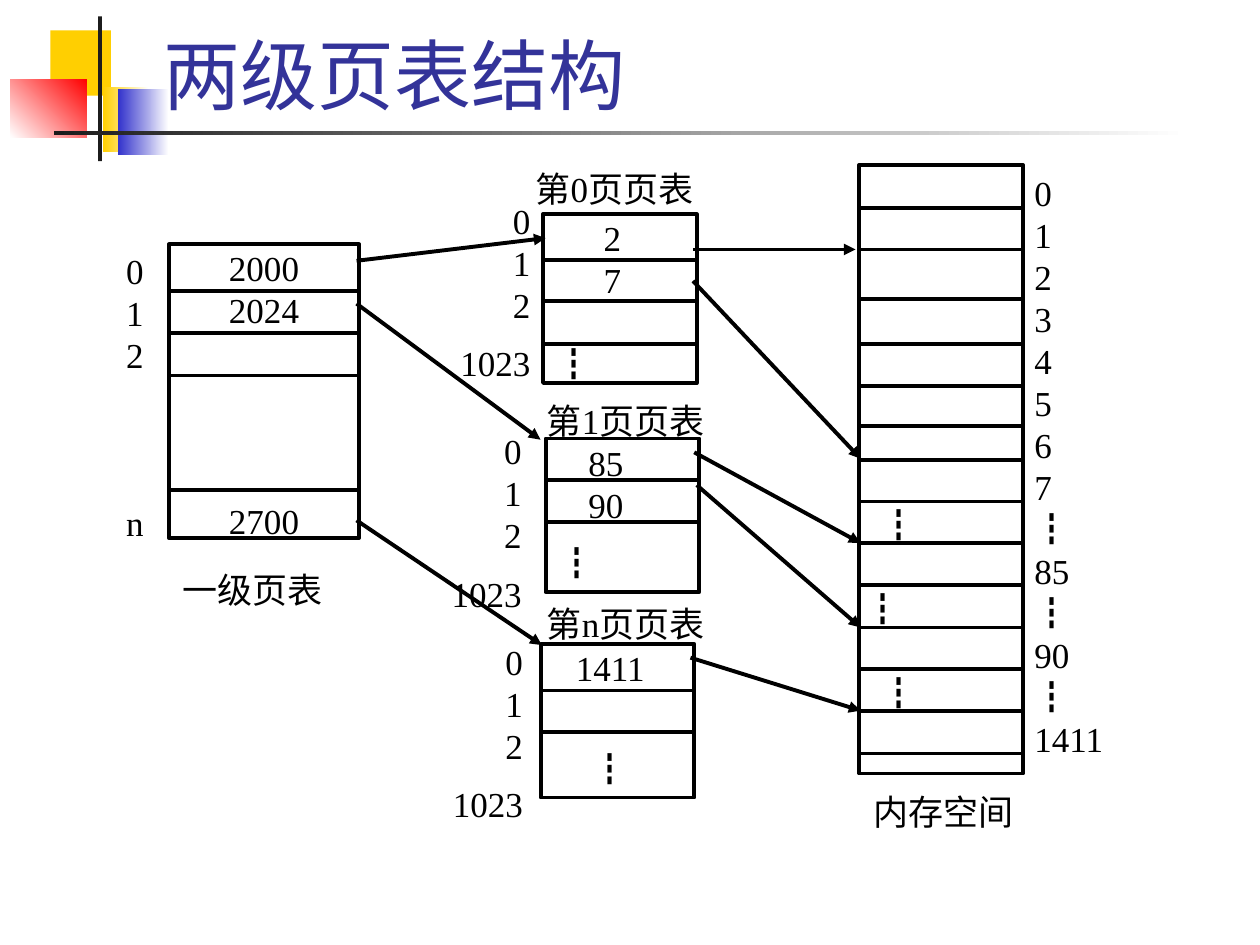
from lxml.etree import SubElement
from pptx import Presentation
from pptx.dml.color import RGBColor
from pptx.enum.shapes import MSO_CONNECTOR, MSO_SHAPE
from pptx.enum.text import MSO_ANCHOR, PP_ALIGN
from pptx.oxml.ns import qn
from pptx.util import Inches, Pt

COLORS = {"yellow": "FFCF01", "white": "FFFFFF", "blue": "3333CC", "red": "FF0000",
          "dark": "1C1C1C", "title": "333399", "black": "000000"}
LATIN, CJK, TITLE_FONT = "Times New Roman", "Noto Sans CJK SC", "Karla"
ROW = 24    # points per line of table text
GAP = 0.4   # part of a row left free above the last row
DOTS = "┇"

# left, top, width, height, colours from first to last stop, clockwise angle
ORNAMENTS = [
    (0.4, 0.24, 0.48, 0.52, ["yellow"], 0),
    (0.82, 0.69, 0.36, 0.52, ["white", "yellow"], 180),
    (0.94, 0.71, 0.4, 0.52, ["white", "blue"], 180),
    (0.08, 0.63, 0.61, 0.46, ["red", "white"], 135),
    (0.78, 0.13, 0.03, 1.15, ["dark"], 0),
    (0.43, 1.04, 9, 0.03, ["white", "dark"], 180),
]

# Each row is (text, free rows above it, indent in inches)
TABLES = [
    {"box": (6.82, 1.31, 1.3, 4.83), "first_row": 8,
     "rows": [(DOTS, 0, 0.18), (DOTS, 1, 0.05), (DOTS, 1, 0.18)],
     "dividers": [1.65, 1.98, 2.37, 2.73, 3.06, 3.38, 3.65, 3.98, 4.31, 4.64,
                  4.98, 5.31, 5.64, 5.98]},
    {"box": (1.34, 1.94, 1.51, 2.33), "align": PP_ALIGN.CENTER,
     "rows": [("2000", 0, 0), ("2024", 0, 0), ("2700", 4, 0)],
     "dividers": [2.31, 2.64, 2.98, 3.89]},
    {"box": (4.31, 1.7, 1.22, 1.34),
     "rows": [("2", 0, 0.48), ("7", 0, 0.48), (DOTS, 1, 0.11)],
     "dividers": [2.06, 2.39, 2.73]},
    {"box": (4.33, 3.48, 1.22, 1.22),
     "rows": [("85", 0, 0.34), ("90", 0, 0.34), (DOTS, GAP, 0.11)],
     "dividers": [3.81, 4.14]},
    {"box": (4.29, 5.11, 1.22, 1.22),
     "rows": [("1411", 0, 0.28), (DOTS, 1 + GAP, 0.41)],
     "dividers": [5.48, 5.81]},
]

CAPTIONS = [
    ("第0页页表", (4.25, 1.31, 1.58, 0.33)),
    ("第1页页表", (4.34, 3.15, 1.41, 0.33)),
    ("第n页页表", (4.34, 4.76, 1.58, 0.38)),
    ("一级页表", (1.45, 4.49, 1.36, 0.41)),
    ("内存空间", (6.93, 6.25, 1.32, 0.39)),
]

FRAME_NUMBERS = ["0", "1", "2", "3", "4", "5", "6", "7", DOTS, "85", DOTS, "90", DOTS, "1411"]
LEVEL_ONE_INDEX = [("0", 0, 0), ("1", 0, 0), ("2", 0, 0), ("n", 3, 0)]
PAGE_INDEX = [("0", 0, 0), ("1", 0, 0), ("2", 0, 0), ("1023", GAP, 0)]
PAGE_INDEX_BOXES = [(3.58, 1.56, 0.63, 1.5), (3.56, 3.39, 0.58, 1.42), (3.55, 5.06, 0.6, 1.33)]

ARROWS = [
    (5.5, 1.98, 6.79, 1.98), (5.5, 2.23, 6.83, 3.64),
    (5.51, 3.59, 6.83, 4.31), (5.53, 3.85, 6.83, 4.98), (5.48, 5.22, 6.83, 5.64),
    (2.83, 2.07, 4.33, 1.89), (2.83, 2.41, 4.29, 3.49), (2.83, 4.13, 4.3, 5.12),
]


def rgb(name):
    return RGBColor.from_string(COLORS[name])


def format_text(paragraph, text, size=20, color="black", font=LATIN, align=PP_ALIGN.LEFT):
    paragraph.alignment = align
    run = paragraph.add_run()
    run.text = text
    run.font.size, run.font.name = Pt(size), font
    run.font.color.rgb = rgb(color)
    SubElement(run.font._element, qn("a:ea")).set("typeface", CJK)


def write_rows(shape, rows, align=PP_ALIGN.LEFT, first_row=0):
    """Set rows on a fixed line pitch, starting first_row lines down."""
    frame = shape.text_frame
    frame.word_wrap = True
    frame.vertical_anchor = MSO_ANCHOR.TOP
    frame.margin_left = frame.margin_right = frame.margin_bottom = 0
    frame.margin_top = Inches(0.02) + Pt(ROW * first_row)
    for number, (text, free_rows, indent) in enumerate(rows):
        paragraph = frame.add_paragraph() if number else frame.paragraphs[0]
        format_text(paragraph, text, align=align, font=CJK if text == DOTS else LATIN)
        paragraph.line_spacing = Pt(ROW)
        if free_rows:
            paragraph.space_before = Pt(ROW * free_rows)
        if indent:
            properties = paragraph._p.get_or_add_pPr()
            properties.set("marL", str(Inches(indent)))
            properties.set("indent", "0")


def add_label(slide, box, rows, **layout):
    write_rows(slide.shapes.add_textbox(*map(Inches, box)), rows, **layout)


def add_rectangle(slide, box):
    shape = slide.shapes.add_shape(MSO_SHAPE.RECTANGLE, *map(Inches, box))
    shape.shadow.inherit = False
    return shape


def add_ornament(slide, box, colors, angle):
    shape = add_rectangle(slide, box)
    shape.line.fill.background()
    if len(colors) == 1:
        shape.fill.solid()
        shape.fill.fore_color.rgb = rgb(colors[0])
        return
    shape.fill.gradient()
    shape.fill.gradient_angle = 360 - angle
    for stop, color, position in zip(shape.fill.gradient_stops, colors, (0, 1)):
        stop.color.rgb = rgb(color)
        stop.position = position


def add_line(slide, points, arrow=False):
    line = slide.shapes.add_connector(MSO_CONNECTOR.STRAIGHT, *map(Inches, points))
    line.line.color.rgb = rgb("black")
    line.line.width = Pt(2.25)
    if arrow:
        SubElement(line.line._get_or_add_ln(), qn("a:tailEnd")).set("type", "triangle")
    SubElement(line._element.spPr, qn("a:effectLst"))


def add_page_table(slide, box, rows, dividers, **layout):
    shape = add_rectangle(slide, box)
    shape.fill.solid()
    shape.fill.fore_color.rgb = rgb("white")
    shape.line.color.rgb = rgb("black")
    shape.line.width = Pt(2.25)
    write_rows(shape, rows, **layout)
    left, _, width, _ = box
    for y in dividers:
        add_line(slide, (left, y, left + width, y))


def add_title(slide, text):
    title = slide.shapes.title
    title.left, title.top, title.width, title.height = map(Inches, (1.2, 0.17, 8.52, 0.83))
    title.text_frame.vertical_anchor = MSO_ANCHOR.BOTTOM
    format_text(title.text_frame.paragraphs[0], text, size=44, color="title", font=TITLE_FONT)
    title.element.getparent().append(title.element)  # in front of the ornaments


def main():
    presentation = Presentation()
    presentation.slide_width, presentation.slide_height = Inches(10), Inches(7.5)
    slide = presentation.slides.add_slide(presentation.slide_layouts[5])
    for *box, colors, angle in ORNAMENTS:
        add_ornament(slide, box, colors, angle)
    add_title(slide, "两级页表结构")
    for table in TABLES:
        add_page_table(slide, **table)
    for text, box in CAPTIONS:
        add_label(slide, box, [(text, 0, 0)])
    add_label(slide, (8.21, 1.34, 0.7, 4.72), [(text, 0, 0) for text in FRAME_NUMBERS])
    add_label(slide, (1, 1.96, 0.25, 2.31), LEVEL_ONE_INDEX)
    for box in PAGE_INDEX_BOXES:
        add_label(slide, box, PAGE_INDEX, align=PP_ALIGN.RIGHT)
    for points in ARROWS:
        add_line(slide, points, arrow=True)
    presentation.save("out.pptx")


if __name__ == "__main__":
    main()
